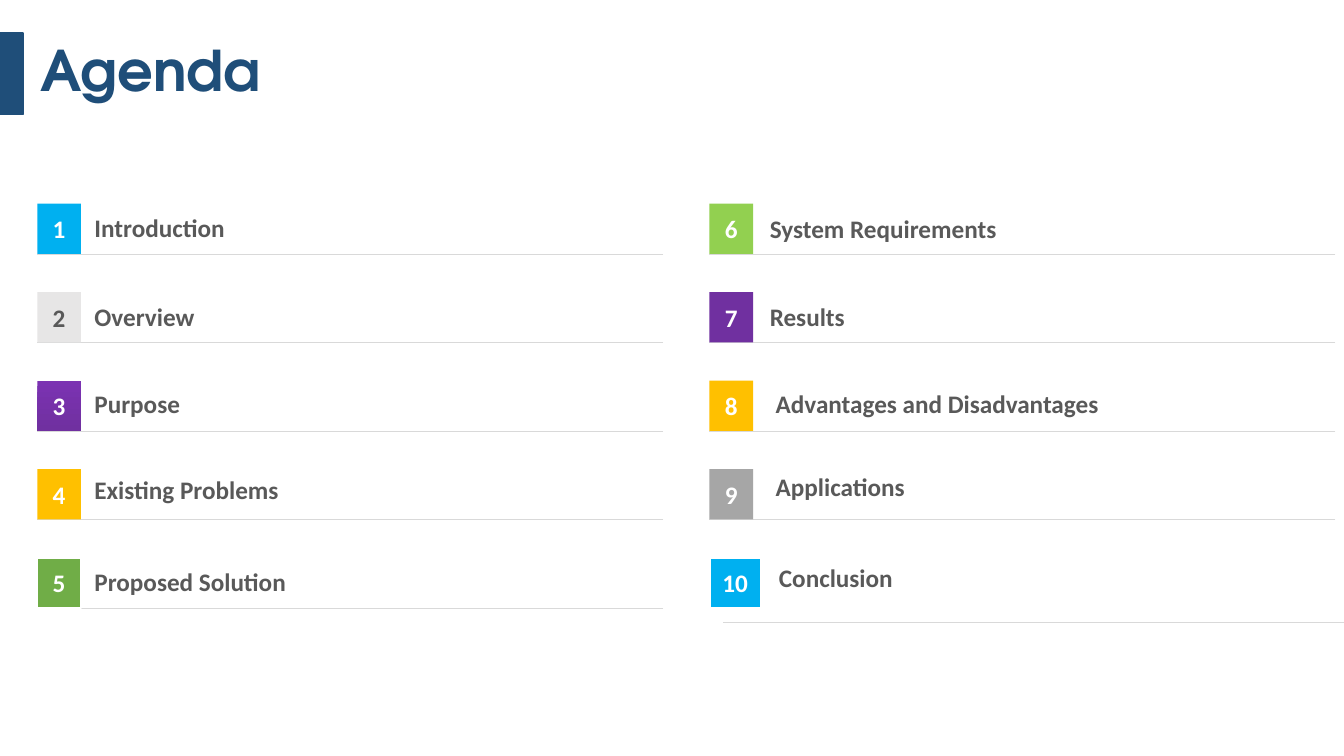
from pptx import Presentation
from pptx import util as u
from pptx.dml.color import RGBColor
from pptx.enum import shapes, text
from pptx.oxml.ns import qn
from lxml import etree

NAVY = RGBColor(0x1F, 0x4E, 0x79)
WHITE = RGBColor(0xFF, 0xFF, 0xFF)
INK = RGBColor(0x59, 0x59, 0x59)
RULE = RGBColor(0xD9, 0xD9, 0xD9)
SKY = RGBColor(0x00, 0xB0, 0xF0)
PALE = RGBColor(0xE7, 0xE6, 0xE6)
PLUM = RGBColor(0x70, 0x30, 0xA0)
VIOLET = RGBColor(0x7B, 0x32, 0xB2)
GOLD = RGBColor(0xFF, 0xC0, 0x00)
LIME = RGBColor(0x92, 0xD0, 0x50)
GREY = RGBColor(0xA6, 0xA6, 0xA6)
GREEN = RGBColor(0x70, 0xAD, 0x47)

PITCH, TALL, WIDE = 2.23, 1.27, 15.77

# Each topic: words, badge fills, label shift right and down, label width
LEFT = [
    ("Introduction", [SKY], 1.19, 0.1, 16.41),
    ("Overview", [PALE], 1.19, 0.1, 15.67),
    ("Purpose", [VIOLET, PLUM], 1.19, 0.08, 17.17),
    ("Existing Problems", [GOLD], 1.19, 0, 12.6),
    ("Proposed Solution", [GREEN], 1.19, 0.1, 16.41),
]
RIGHT = [
    ("System Requirements", [LIME], 1.27, 0.13, 17.17),
    ("Results", [PLUM], 1.27, 0.1, 12.6),
    ("Advantages and Disadvantages", [GOLD], 1.42, 0.08, 15.67),
    ("Applications", [GREY], 1.42, -0.08, 12.6),
    ("Conclusion", [SKY], 1.5, 0, 17.17),
]


def write(shape, words, size=18, font="Calibri", color=INK, align=None, space=None):
    """Put one bold line of text into a shape."""
    para = shape.text_frame.paragraphs[0]
    para.alignment = align
    para.line_spacing = space
    run = para.add_run()
    run.text = words
    run.font.size = u.Pt(size)
    run.font.name = font
    run.font.bold = True
    run.font.color.rgb = color


def label(slide, words, x, y, w, h, **style):
    """Add a wrapped text box."""
    box = slide.shapes.add_textbox(u.Cm(x), u.Cm(y), u.Cm(w), u.Cm(h))
    box.text_frame.word_wrap = True
    write(box, words, **style)


def block(slide, x, y, w, h, fills, edge=None, width=1):
    """Add a rectangle with a plain or top-to-bottom gradient fill."""
    rect = slide.shapes.add_shape(
        shapes.MSO_SHAPE.RECTANGLE, u.Cm(x), u.Cm(y), u.Cm(w), u.Cm(h))
    rect.shadow.inherit = False
    if len(fills) > 1:
        rect.fill.gradient()
        rect.fill.gradient_angle = 270
        for stop, color in zip(rect.fill.gradient_stops, fills):
            stop.color.rgb = color
    else:
        rect.fill.solid()
        rect.fill.fore_color.rgb = fills[0]
    if edge is None:
        rect.line.fill.background()
    else:
        rect.line.color.rgb = edge
        rect.line.width = u.Pt(width)
    return rect


def rule(slide, x, y, w):
    """Add a thin level line."""
    line = slide.shapes.add_connector(
        shapes.MSO_CONNECTOR.STRAIGHT, u.Cm(x + w), u.Cm(y), u.Cm(x), u.Cm(y))
    line.line.color.rgb = RULE
    line.line.width = u.Pt(0.25)
    etree.SubElement(line.element.spPr, qn("a:effectLst"))


def badge(slide, number, x, y, fills, edge):
    """Add a numbered block, wider for two digits."""
    wide = 1.1 if number < 10 else 1.3
    rect = block(slide, x, y, wide, TALL, fills, edge, 1.5)
    frame = rect.text_frame
    frame.margin_left = frame.margin_right = 0
    frame.vertical_anchor = text.MSO_ANCHOR.MIDDLE
    write(rect, str(number), color=INK if fills == [PALE] else WHITE,
          align=text.PP_ALIGN.CENTER)


def header(slide, x, y, h):
    """Draw the side bar and the title."""
    block(slide, x, y, 0.58, h, [NAVY], NAVY)
    label(slide, "Agenda", x + 0.76, y + 0.13, 7.47, 1.8,
          size=40, font="TeX Gyre Adventor", color=NAVY, space=0.9)


def column(slide, x, y, first, topics, drop=0):
    """Draw numbered topics; drop shifts the last line right and down."""
    for row, (words, fills, right, down, wide) in enumerate(topics):
        top = y + row * PITCH
        last = row == len(topics) - 1
        shift = drop if last else 0
        rule(slide, x + shift, top + TALL + shift, WIDE)
        badge(slide, first + row, x, top, fills, WHITE if last else None)
        label(slide, words, x + right, top + down, wide, 1.02)


def main():
    """Build and save the agenda slide."""
    deck = Presentation()
    deck.slide_width, deck.slide_height = u.Cm(33.87), u.Cm(19.05)
    slide = deck.slides.add_slide(deck.slide_layouts[6])
    header(slide, 0, 0.83, 2.05)
    column(slide, 0.94, 5.13, 1, LEFT)
    column(slide, 17.88, 5.13, 6, RIGHT, drop=0.35)
    deck.save("out.pptx")


if __name__ == "__main__":
    main()
